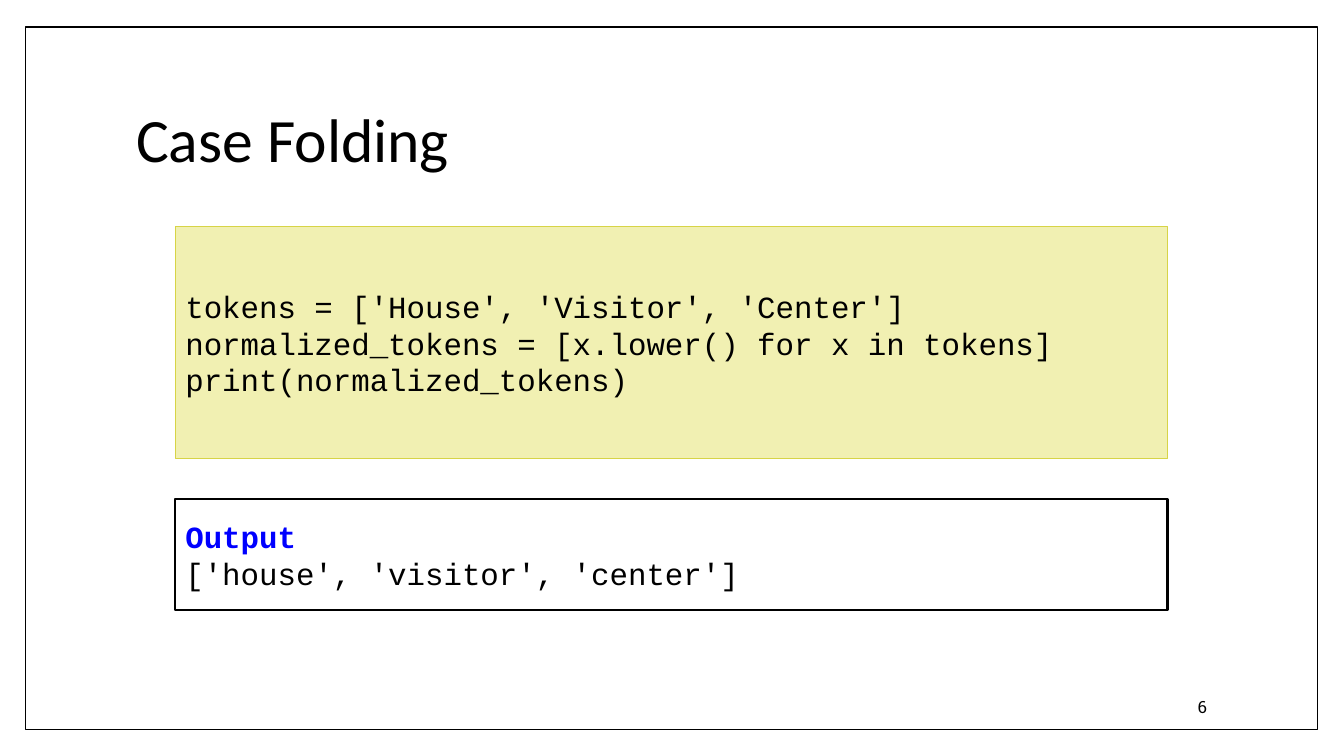
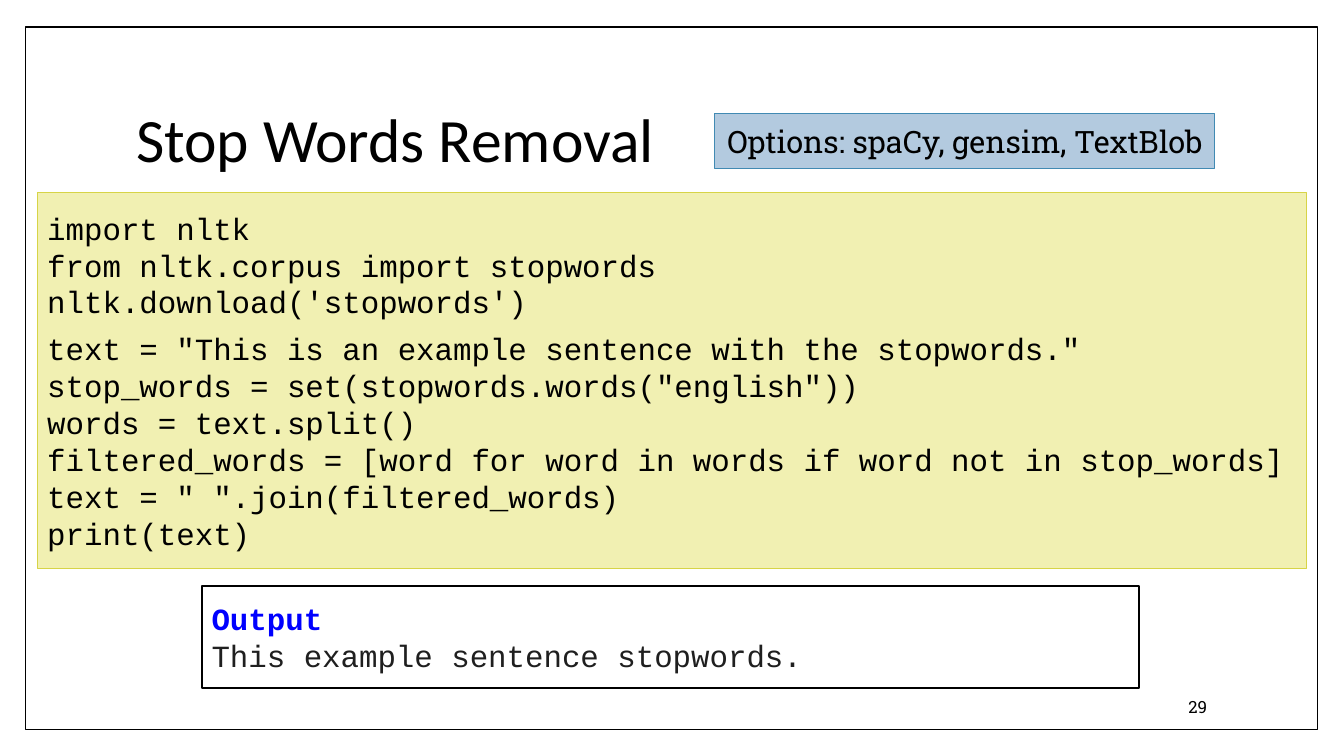
import pptx
import pptx.dml.color
import pptx.enum.shapes
import pptx.enum.text
import pptx.util

Inches, Pt = pptx.util.Inches, pptx.util.Pt
ALIGN = pptx.enum.text.PP_ALIGN
MIDDLE = pptx.enum.text.MSO_ANCHOR.MIDDLE

BLACK, WHITE, BLUE = "000000", "FFFFFF", "0000FF"
CODE_FILL, CODE_LINE = "F1F0B2", "D7D447"
OPTIONS_FILL, OPTIONS_LINE = "B3CADF", "418AB3"
TITLE_FONT, CODE_FONT, TEXT_FONT = "Calibri", "Courier New", "Roboto Slab"
FRAME_AREA = (0.25, 0.27, 12.82, 6.97)
TITLE_AREA = (1.25, 0.67, 10.8, 1.48)
NUMBER_AREA = (10.2, 6.81, 1.87, 0.4)

LESSONS = [
    {
        "title": "Case Folding",
        "number": "6",
        "code_area": (1.74, 2.25, 9.84, 2.3),
        "code_blocks": [
            [
                "tokens = ['House', 'Visitor', 'Center']",
                "normalized_tokens = [x.lower() for x in tokens]",
                "print(normalized_tokens)",
            ],
        ],
        "output_area": (1.74, 4.95, 9.84, 1.1),
        "output": "['house', 'visitor', 'center']",
        "output_color": BLACK,
    },
    {
        "title": "Stop Words Removal",
        "number": "29",
        "code_area": (0.37, 1.91, 12.59, 3.73),
        "code_blocks": [
            [
                "import nltk",
                "from nltk.corpus import stopwords",
                "nltk.download('stopwords')",
            ],
            [
                'text = "This is an example sentence with the stopwords."',
                'stop_words = set(stopwords.words("english"))',
                "words = text.split()",
                "filtered_words = [word for word in words if word not in stop_words]",
                'text = " ".join(filtered_words)',
                "print(text)",
            ],
        ],
        "output_area": (2, 5.81, 9.3, 1.02),
        "output": "This example sentence stopwords.",
        "output_color": "1F1F1F",
        "options_area": (7.09, 1.13, 4.96, 0.54),
        "options": "Options: spaCy, gensim, TextBlob",
    },
]


def rgb(color):
    return pptx.dml.color.RGBColor.from_string(color)


def place(shape, area):
    shape.left, shape.top, shape.width, shape.height = map(Inches, area)


def add_box(slide, area, fill, line, line_width):
    box = slide.shapes.add_shape(
        pptx.enum.shapes.MSO_SHAPE.RECTANGLE, *map(Inches, area))
    box.shadow.inherit = False
    box.fill.solid()
    box.fill.fore_color.rgb = rgb(fill)
    box.line.color.rgb = rgb(line)
    box.line.width = Pt(line_width)
    return box


def write(shape, lines, font, size, align=ALIGN.LEFT):
    frame = shape.text_frame
    frame.word_wrap = True
    frame.vertical_anchor = MIDDLE
    for index, (text, color, bold, gap) in enumerate(lines):
        paragraph = frame.add_paragraph() if index else frame.paragraphs[0]
        paragraph.alignment = align
        if gap:
            paragraph.space_before = Pt(gap)
        run = paragraph.add_run()
        run.text = text
        run.font.name = font
        run.font.size = Pt(size)
        run.font.bold = bold
        run.font.color.rgb = rgb(color)


def write_line(shape, text, font, size, align=ALIGN.LEFT):
    write(shape, [(text, BLACK, False, 0)], font, size, align)


def add_frame_to_layout(slide):
    frame = add_box(slide, FRAME_AREA, WHITE, BLACK, 1).element
    frame.nvSpPr.cNvPr.set("id", "20")
    slide.slide_layout.shapes.element.insert(2, frame)


def code_lines(blocks):
    return [
        (text, BLACK, False, 7 if block_index and not line_index else 0)
        for block_index, block in enumerate(blocks)
        for line_index, text in enumerate(block)
    ]


def build_lesson(slide, lesson):
    title = slide.shapes.title
    place(title, TITLE_AREA)
    write_line(title, lesson["title"], TITLE_FONT, 44)
    title.text_frame.paragraphs[0].line_spacing = 0.9

    number = slide.shapes.add_textbox(*map(Inches, NUMBER_AREA))
    write_line(number, lesson["number"], TEXT_FONT, 12, ALIGN.RIGHT)

    code = add_box(slide, lesson["code_area"], CODE_FILL, CODE_LINE, 0.79)
    write(code, code_lines(lesson["code_blocks"]), CODE_FONT, 22)

    output = add_box(slide, lesson["output_area"], WHITE, BLACK, 1.5)
    write(output, [
        ("Output", BLUE, True, 0),
        (lesson["output"], lesson["output_color"], False, 0),
    ], CODE_FONT, 22)

    if "options" in lesson:
        options = add_box(
            slide, lesson["options_area"], OPTIONS_FILL, OPTIONS_LINE, 0.79)
        write_line(options, lesson["options"], TEXT_FONT, 22, ALIGN.CENTER)


def main():
    deck = pptx.Presentation()
    deck.slide_width, deck.slide_height = Inches(13.33), Inches(7.5)
    title_only = deck.slide_layouts[5]
    slides = [deck.slides.add_slide(title_only) for _ in LESSONS]
    add_frame_to_layout(slides[0])
    for slide, lesson in zip(slides, LESSONS):
        build_lesson(slide, lesson)
    deck.save("out.pptx")


if __name__ == "__main__":
    main()
